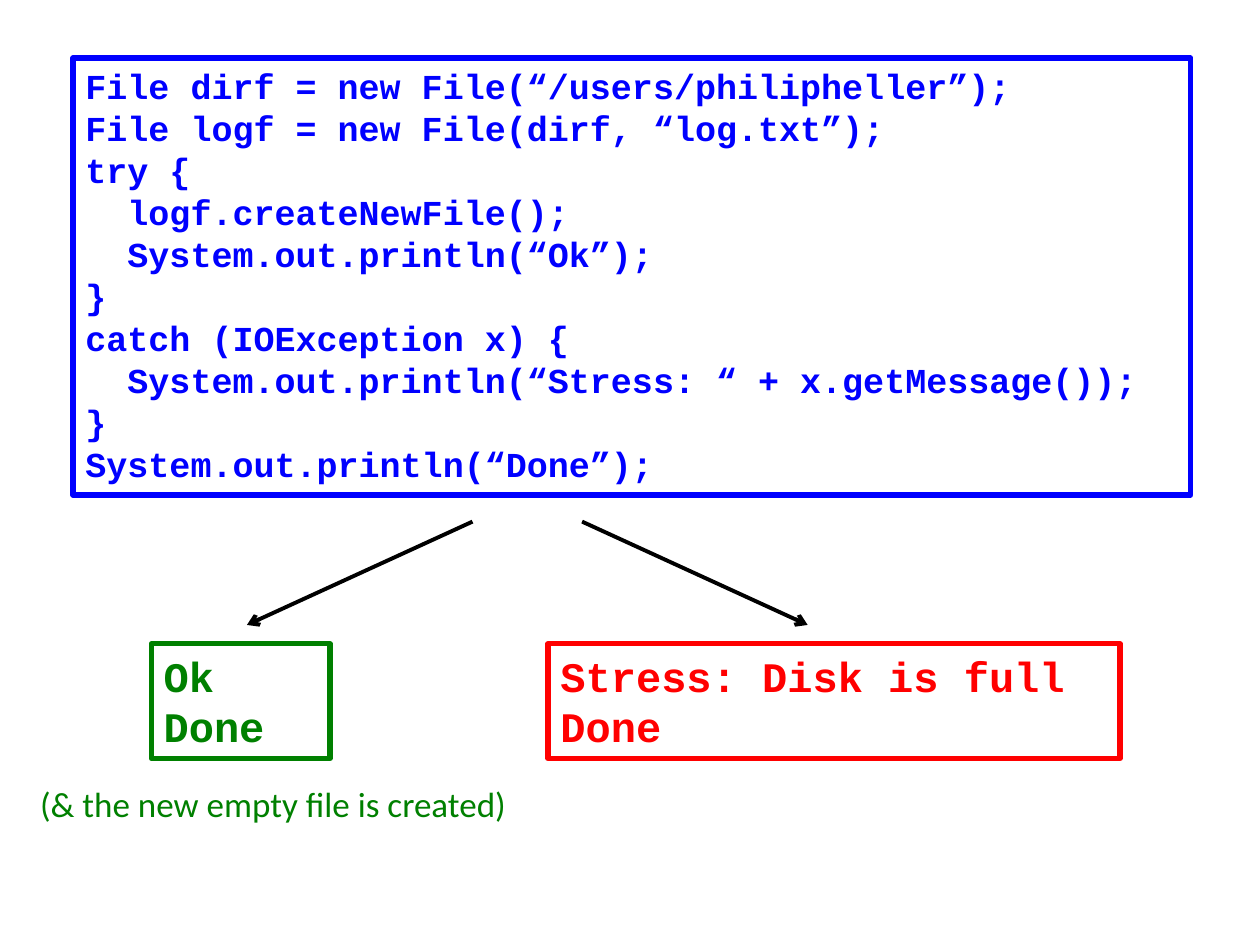
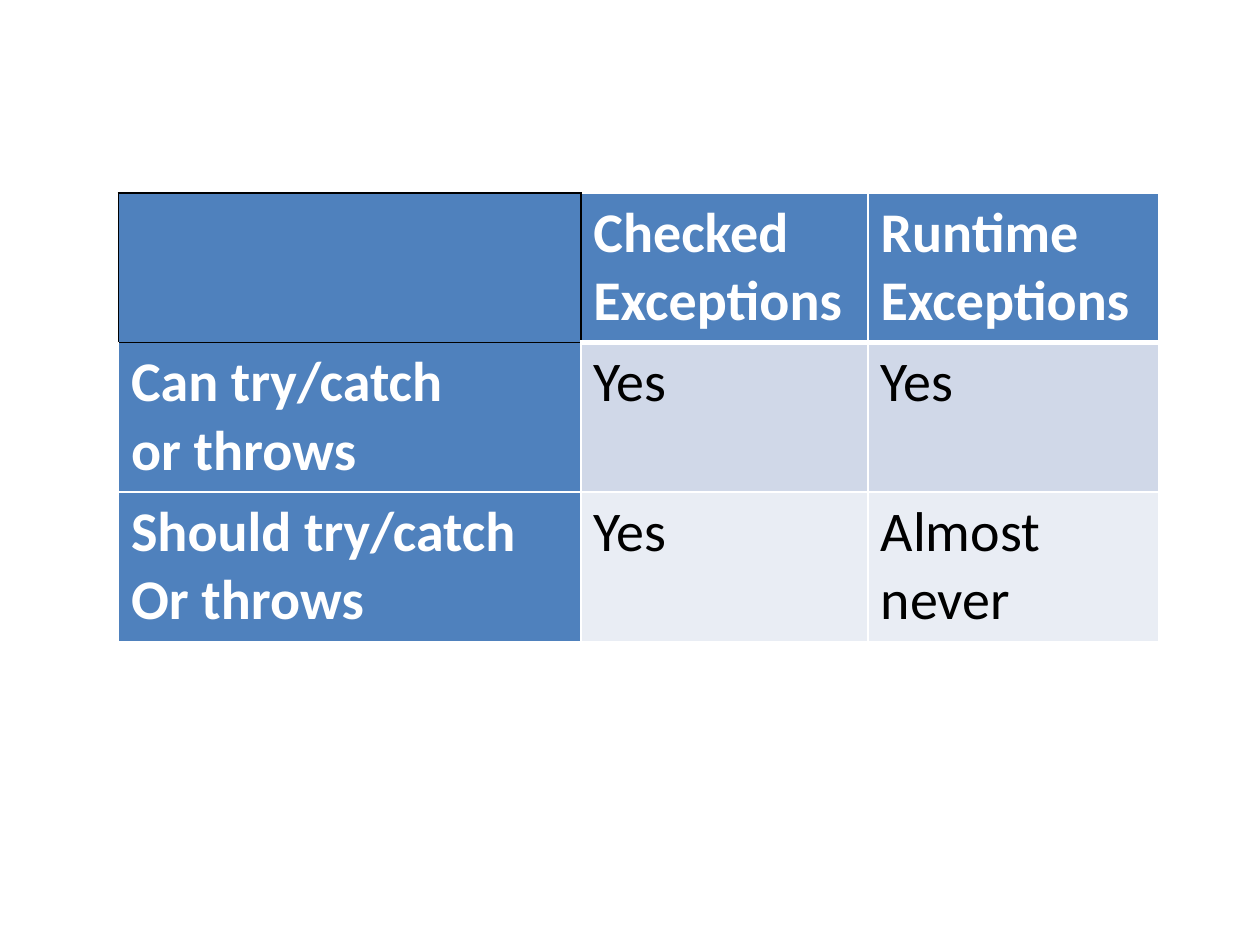
import pptx
import pptx.util
import pptx.dml.color
import pptx.enum.shapes
import pptx.oxml
import pptx.oxml.ns

Inches, Pt = pptx.util.Inches, pptx.util.Pt
RGBColor = pptx.dml.color.RGBColor

# Colours and fonts
BLACK = RGBColor(0x00, 0x00, 0x00)
WHITE = RGBColor(0xFF, 0xFF, 0xFF)
BLUE = RGBColor(0x00, 0x00, 0xFF)
GREEN = RGBColor(0x00, 0x80, 0x00)
RED = RGBColor(0xFF, 0x00, 0x00)
HEADER_BLUE = RGBColor(0x4F, 0x81, 0xBD)
BANDS = [RGBColor(0xD0, 0xD8, 0xE8), RGBColor(0xE9, 0xED, 0xF4)]
CODE_FONT, BODY_FONT = "Courier New", "Calibri"

# Slide 1: code and its two possible outputs
CODE = """File dirf = new File(“/users/philipheller”);
File logf = new File(dirf, “log.txt”);
try {
  logf.createNewFile();
  System.out.println(“Ok”);
}
catch (IOException x) {
  System.out.println(“Stress: “ + x.getMessage());
}
System.out.println(“Done”);""".split("\n")

# lines, (left, top, width, height), text size, colour
CODE_BOXES = [
    (CODE, (0.58, 0.46, 8.87, 3.47), 20, BLUE),
    (["Ok", "Done"], (1.2, 5.11, 1.42, 0.91), 24, GREEN),
    (["Stress: Disk is full", "Done"], (4.35, 5.11, 4.54, 0.91), 24, RED),
]
ARROW_TOP, ARROW_BOTTOM = 4.14, 4.96
ARROWS = [(3.75, 1.96), (4.62, 6.41)]  # start x, end x
NOTE = "(& the new empty file is created)"
NOTE_PLACE = (0.22, 6.16, 3.94, 0.44)

# Slide 2: when to handle exceptions
EXCEPTION_ROWS = [
    [[], ["Checked", "Exceptions"], ["Runtime", "Exceptions"]],
    [["Can try/catch", "or throws"], ["Yes"], ["Yes"]],
    [["Should try/catch", "Or throws"], ["Yes"], ["Almost", "never"]],
]
TABLE_LEFT, TABLE_TOP = 0.94, 1.53
COLUMN_WIDTHS = [3.67, 2.28, 2.31]
ROW_HEIGHT = 1.18


def write(frame, lines, size, color, font=BODY_FONT, bold=False):
    """Fill a text frame with one paragraph per line."""
    for index, line in enumerate(lines):
        paragraph = frame.add_paragraph() if index else frame.paragraphs[0]
        run = paragraph.add_run()
        run.text = line
        run.font.name, run.font.size = font, Pt(size)
        run.font.bold = bold
        run.font.color.rgb = color


def add_code_box(slide, lines, place, size, color):
    box = slide.shapes.add_shape(
        pptx.enum.shapes.MSO_SHAPE.RECTANGLE, *map(Inches, place))
    box.shadow.inherit = False
    box.fill.background()
    box.line.color.rgb, box.line.width = color, Pt(3)
    frame = box.text_frame
    frame.word_wrap = True
    frame.vertical_anchor = pptx.enum.text.MSO_ANCHOR.TOP
    write(frame, lines, size, color, font=CODE_FONT, bold=True)
    for paragraph in frame.paragraphs:
        paragraph.alignment = pptx.enum.text.PP_ALIGN.LEFT


def add_arrow(slide, start_x, end_x):
    arrow = slide.shapes.add_connector(
        pptx.enum.shapes.MSO_CONNECTOR.STRAIGHT,
        *map(Inches, (start_x, ARROW_TOP, end_x, ARROW_BOTTOM)))
    arrow.line.color.rgb, arrow.line.width = BLACK, Pt(2.25)
    head = pptx.oxml.parse_xml(
        f'<a:tailEnd {pptx.oxml.ns.nsdecls("a")} type="arrow"/>')
    arrow.line._get_or_add_ln().append(head)
    arrow._element.spPr.append(pptx.oxml.parse_xml(
        f'<a:effectLst {pptx.oxml.ns.nsdecls("a")}/>'))


def add_border(cell, side, color, width):
    cell._tc.get_or_add_tcPr().append(pptx.oxml.parse_xml(
        f'<a:ln{side} {pptx.oxml.ns.nsdecls("a")} w="{Pt(width)}">'
        f'<a:solidFill><a:srgbClr val="{color}"/></a:solidFill></a:ln{side}>'))


def cell_borders(row, column):
    """White grid, a thick rule under the header, a black corner cell."""
    borders = {side: (WHITE, 1) for side in "LRTB"}
    if (row, column) == (0, 0):
        borders = {side: (BLACK, 1) for side in "LRTB"}
    elif row == 0:
        borders["B"] = (WHITE, 3)
    elif row == 1 and column > 0:
        borders["T"] = (WHITE, 3)
    if (row, column) == (0, 1):
        borders["L"] = (BLACK, 1)
    if (row, column) == (1, 0):
        borders["T"] = (BLACK, 1)
    return borders


def build_code_slide(slide):
    for box in CODE_BOXES:
        add_code_box(slide, *box)
    for start_x, end_x in ARROWS:
        add_arrow(slide, start_x, end_x)
    note = slide.shapes.add_textbox(*map(Inches, NOTE_PLACE))
    note.text_frame.word_wrap = False
    write(note.text_frame, [NOTE], 20, GREEN)


def build_table_slide(slide):
    row_count = len(EXCEPTION_ROWS)
    table = slide.shapes.add_table(
        row_count, len(COLUMN_WIDTHS), Inches(TABLE_LEFT), Inches(TABLE_TOP),
        Inches(sum(COLUMN_WIDTHS)), Inches(ROW_HEIGHT * row_count)).table
    for column, width in zip(table.columns, COLUMN_WIDTHS):
        column.width = Inches(width)
    for r, row in enumerate(EXCEPTION_ROWS):
        for c, lines in enumerate(row):
            cell = table.cell(r, c)
            heading = r == 0 or c == 0
            for side, (color, width) in cell_borders(r, c).items():
                add_border(cell, side, color, width)
            cell.fill.solid()
            cell.fill.fore_color.rgb = HEADER_BLUE if heading else BANDS[r - 1]
            write(cell.text_frame, lines, 32, WHITE if heading else BLACK,
                  bold=heading)


def main():
    deck = pptx.Presentation()
    deck.slide_width, deck.slide_height = Inches(10), Inches(7.5)
    blank = deck.slide_layouts[6]
    for build in (build_code_slide, build_table_slide):
        build(deck.slides.add_slide(blank))
    deck.save("out.pptx")


if __name__ == "__main__":
    import pptx.enum.text
    main()
